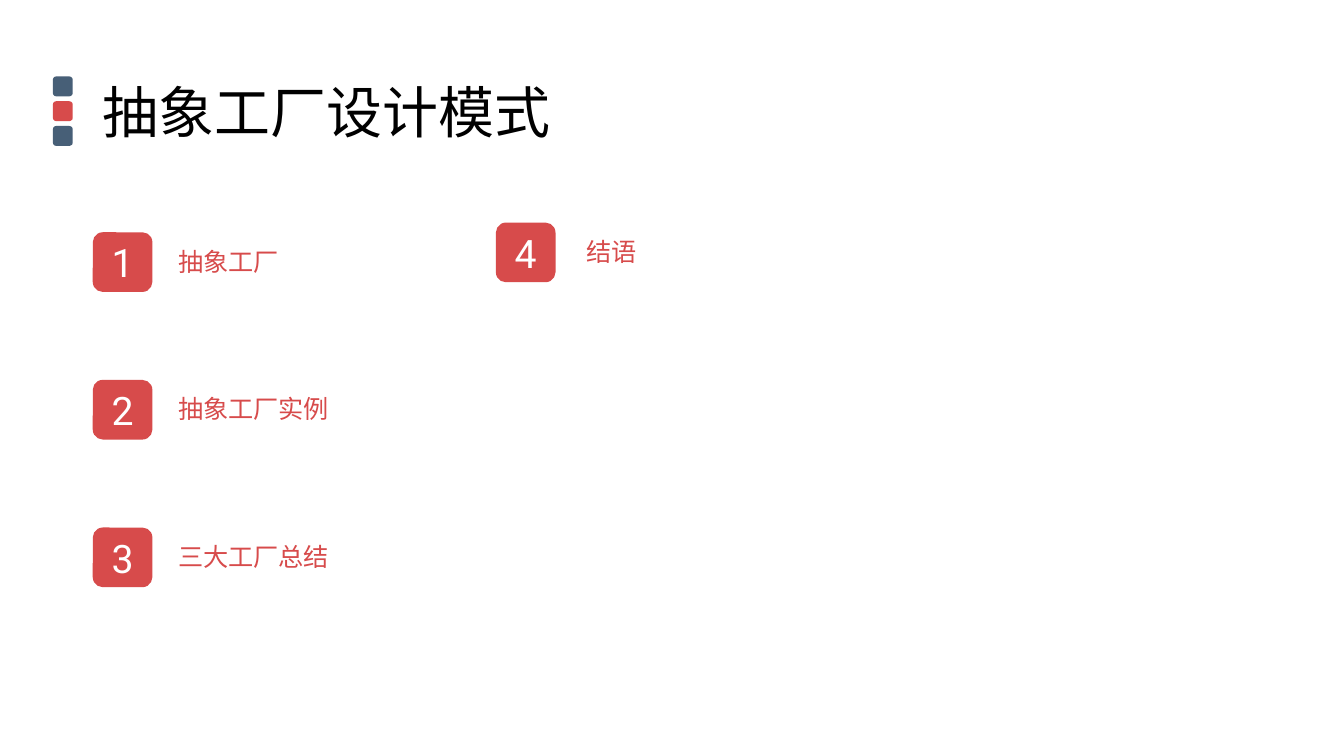
from dataclasses import dataclass

import pptx
import pptx.dml.color
import pptx.enum.shapes
import pptx.enum.text
import pptx.util

Pt = pptx.util.Pt
PP_ALIGN = pptx.enum.text.PP_ALIGN
MSO_ANCHOR = pptx.enum.text.MSO_ANCHOR
MSO_AUTO_SIZE = pptx.enum.text.MSO_AUTO_SIZE
RGBColor = pptx.dml.color.RGBColor

RED = RGBColor(0xD7, 0x4B, 0x4B)
SLATE = RGBColor(0x47, 0x5F, 0x77)
BLACK = RGBColor(0, 0, 0)
WHITE = RGBColor(0xFF, 0xFF, 0xFF)
FONT = "Roboto"
BADGE = 42.6
MARK, MARK_STEP = 14.2, 17.7
LEFT, TOP, ROW_STEP = 66.3, 165.9, 105.45


@dataclass(frozen=True)
class AgendaItem:
    number: int
    text: str
    left: float
    top: float
    label_left: float
    label_width: float


ITEMS = [
    AgendaItem(1, "抽象工厂", LEFT, TOP, 120.2, 86.4),
    AgendaItem(2, "抽象工厂实例", LEFT, TOP + ROW_STEP, 120.2, 122.4),
    AgendaItem(3, "三大工厂总结", LEFT, TOP + 2 * ROW_STEP, 120.2, 122.4),
    AgendaItem(4, "结语", 354.4, 159, 411.8, 50.4),
]


def set_text(sp, text: str, *, size: float, color: RGBColor,
             align=PP_ALIGN.LEFT, anchor=MSO_ANCHOR.TOP, wrap: bool = True,
             auto_size=MSO_AUTO_SIZE.NONE, line_spacing: float = 1.0) -> None:
    tf = sp.text_frame
    tf.word_wrap = wrap
    tf.auto_size = auto_size
    tf.vertical_anchor = anchor
    p = tf.paragraphs[0]
    p.alignment = align
    p.line_spacing = line_spacing
    r = p.add_run()
    r.text = text
    r.font.name = FONT
    r.font.size = Pt(size)
    r.font.color.rgb = color


def add_tile(s, left: float, top: float, side: float, fill: RGBColor):
    sp = s.shapes.add_shape(pptx.enum.shapes.MSO_SHAPE.ROUNDED_RECTANGLE,
                            Pt(left), Pt(top), Pt(side), Pt(side))
    sp.shadow.inherit = False
    sp.fill.solid()
    sp.fill.fore_color.rgb = fill
    sp.line.fill.background()
    return sp


def add_item(s, item: AgendaItem) -> None:
    badge = add_tile(s, item.left, item.top, BADGE, RED)
    set_text(badge, str(item.number), size=28, color=WHITE,
             align=PP_ALIGN.CENTER, anchor=MSO_ANCHOR.MIDDLE)
    label = s.shapes.add_textbox(Pt(item.label_left), Pt(item.top + 6.4),
                                 Pt(item.label_width), Pt(29))
    set_text(label, item.text, size=18, color=RED, wrap=False,
             auto_size=MSO_AUTO_SIZE.SHAPE_TO_FIT_TEXT)


def main() -> None:
    prs = pptx.Presentation()
    prs.slide_width, prs.slide_height = Pt(960.5), Pt(540)
    s = prs.slides.add_slide(prs.slide_layouts[5])

    for i, color in enumerate((SLATE, RED, SLATE)):
        add_tile(s, 37.8, 54.6 + i * MARK_STEP, MARK, color)

    title = s.shapes.title
    title.left, title.top = Pt(LEFT), Pt(39.6)
    title.width, title.height = Pt(828), Pt(85)
    set_text(title, "抽象工厂设计模式", size=40, color=BLACK,
             anchor=MSO_ANCHOR.MIDDLE, line_spacing=0.9)

    for item in ITEMS:
        add_item(s, item)

    prs.save("out.pptx")


if __name__ == "__main__":
    main()
